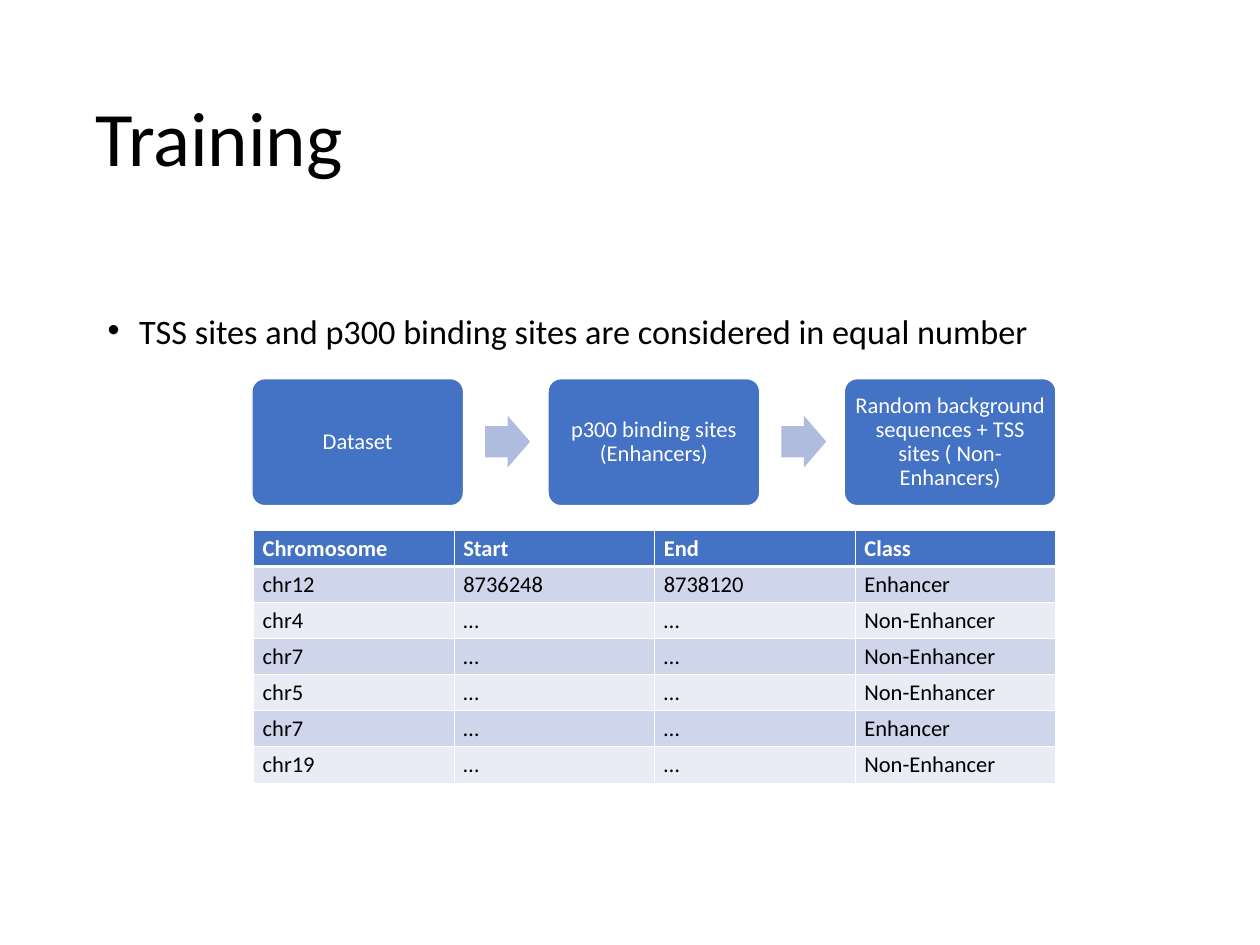
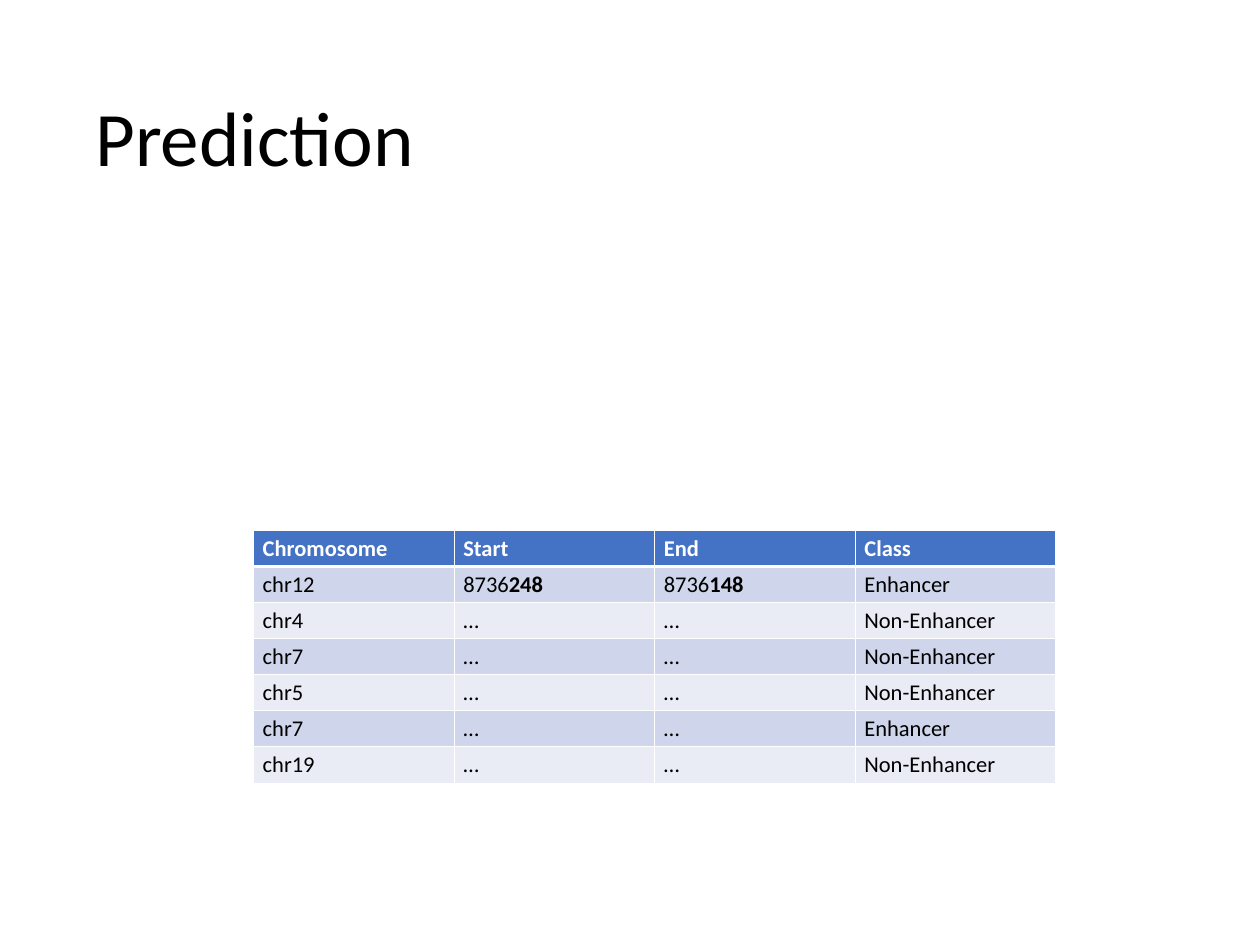
from lxml import etree
from pptx import Presentation, util as u
from pptx.dml.color import RGBColor
from pptx.enum import shapes, text
from pptx.oxml import ns

FONT = "Calibri"
BLUE, PALE_BLUE = "4472C4", "B0BCDE"
BANDS = ("CFD5EA", "E9EBF5")
WHITE, BLACK = "FFFFFF", "000000"

HEADER = ["Chromosome", "Start", "End", "Class"]
UNKNOWN = [
    ["chr4", "…", "…", "Non-Enhancer"],
    ["chr7", "…", "…", "Non-Enhancer"],
    ["chr5", "…", "…", "Non-Enhancer"],
    ["chr7", "…", "…", "Enhancer"],
    ["chr19", "…", "…", "Non-Enhancer"],
]
STEPS = [
    "Dataset",
    "p300 binding sites (Enhancers)",
    "Random background sequences + TSS sites ( Non-Enhancers)",
]


def colour(hex_string):
    return RGBColor.from_string(hex_string)


def set_all(target, values):
    for name, value in values.items():
        setattr(target, name, value)


def place(left, top, width, height):
    return [u.Cm(value) for value in (left, top, width, height)]


def add_run(paragraph, words, size, hex_string, bold=False):
    run = paragraph.add_run()
    run.text = words
    set_all(run.font, {"name": FONT, "size": u.Pt(size), "bold": bold})
    run.font.color.rgb = colour(hex_string)


def add_text(slide, box, words, size, frame_format, paragraph_format):
    frame = slide.shapes.add_textbox(*place(*box)).text_frame
    set_all(frame, {"word_wrap": True, **frame_format})
    paragraph = frame.paragraphs[0]
    set_all(paragraph, paragraph_format)
    add_run(paragraph, words, size, BLACK)
    return paragraph


def add_title(slide, words):
    add_text(slide, (2.44, 1.42, 30.66, 5.16), words, 61.6,
             {"vertical_anchor": text.MSO_ANCHOR.MIDDLE}, {"line_spacing": 0.9})


def add_bullet(slide, words):
    paragraph = add_text(slide, (2.79, 8.94, 28.19, 1.47), words, 27.4, {},
                         {"line_spacing": 0.7, "space_before": u.Pt(14)})
    properties = paragraph._p.get_or_add_pPr()
    properties.set("marL", str(u.Cm(0.89)))
    properties.set("indent", str(u.Cm(-0.89)))
    etree.SubElement(properties, ns.qn("a:buFont")).set("typeface", "Arial")
    etree.SubElement(properties, ns.qn("a:buChar")).set("char", "•")


def add_block(slide, kind, box, fill, adjustments):
    shape = slide.shapes.add_shape(kind, *place(*box))
    shape.shadow.inherit = False
    for index, value in enumerate(adjustments):
        shape.adjustments[index] = value
    shape.fill.solid()
    shape.fill.fore_color.rgb = colour(fill)
    shape.line.fill.background()
    return shape


def add_step(slide, left, words):
    shape = add_block(slide, shapes.MSO_SHAPE.ROUNDED_RECTANGLE,
                      (left, 10.69, 5.97, 3.58), BLUE, [0.1])
    shape.line.color.rgb = colour(WHITE)
    shape.line.width = u.Pt(1)
    frame = shape.text_frame
    sides = ("left", "right", "top", "bottom")
    set_all(frame, {f"margin_{side}": u.Cm(0.18) for side in sides})
    set_all(frame, {"word_wrap": True, "vertical_anchor": text.MSO_ANCHOR.MIDDLE})
    paragraph = frame.paragraphs[0]
    set_all(paragraph, {"alignment": text.PP_ALIGN.CENTER, "line_spacing": 0.9})
    add_run(paragraph, words, 18, WHITE)


def add_process(slide, steps):
    left, pitch = 7.11, 8.36
    for index, words in enumerate(steps):
        if index:
            add_block(slide, shapes.MSO_SHAPE.RIGHT_ARROW,
                      (left + index * pitch - 1.78, 11.73, 1.27, 1.47),
                      PALE_BLUE, [0.6, 0.5])
        add_step(slide, left + index * pitch, words)


def add_borders(cell, widths):
    properties = cell._tc.get_or_add_tcPr()
    for side, width in widths.items():
        line = etree.SubElement(properties, ns.qn(f"a:ln{side}"), w=str(u.Pt(width)))
        fill = etree.SubElement(line, ns.qn("a:solidFill"))
        etree.SubElement(fill, ns.qn("a:srgbClr"), val=WHITE)


def fill_cell(cell, words, fill, ink, header, widths):
    add_borders(cell, widths)
    cell.fill.solid()
    cell.fill.fore_color.rgb = colour(fill)
    paragraph = cell.text_frame.paragraphs[0]
    for index, part in enumerate(words.split("*")):
        add_run(paragraph, part, 18, ink, header or index == 1)


def add_sites_table(slide, known_site):
    rows = [HEADER, known_site] + UNKNOWN
    column_width, row_height = 5.66, 1.02
    table = slide.shapes.add_table(
        len(rows), len(HEADER),
        *place(7.16, 14.96, column_width * len(HEADER), row_height * len(rows))).table
    for row_index, row in enumerate(rows):
        header = row_index == 0
        fill = BLUE if header else BANDS[(row_index - 1) % 2]
        widths = {"L": 1, "R": 1, "T": 3 if row_index == 1 else 1, "B": 3 if header else 1}
        for column_index, words in enumerate(row):
            fill_cell(table.cell(row_index, column_index), words, fill,
                      WHITE if header else BLACK, header, widths)


def add_slide(presentation, title):
    slide = presentation.slides.add_slide(presentation.slide_layouts[6])
    add_title(slide, title)
    return slide


def main():
    presentation = Presentation()
    set_all(presentation, {"slide_width": u.Cm(35.56), "slide_height": u.Cm(26.67)})

    training = add_slide(presentation, "Training")
    add_bullet(training, "TSS sites and p300 binding sites are considered in equal number")
    add_process(training, STEPS)
    add_sites_table(training, ["chr12", "8736248", "8738120", "Enhancer"])

    prediction = add_slide(presentation, "Prediction")
    add_sites_table(prediction, ["chr12", "8736*248", "8736*148", "Enhancer"])

    presentation.save("out.pptx")


main()
